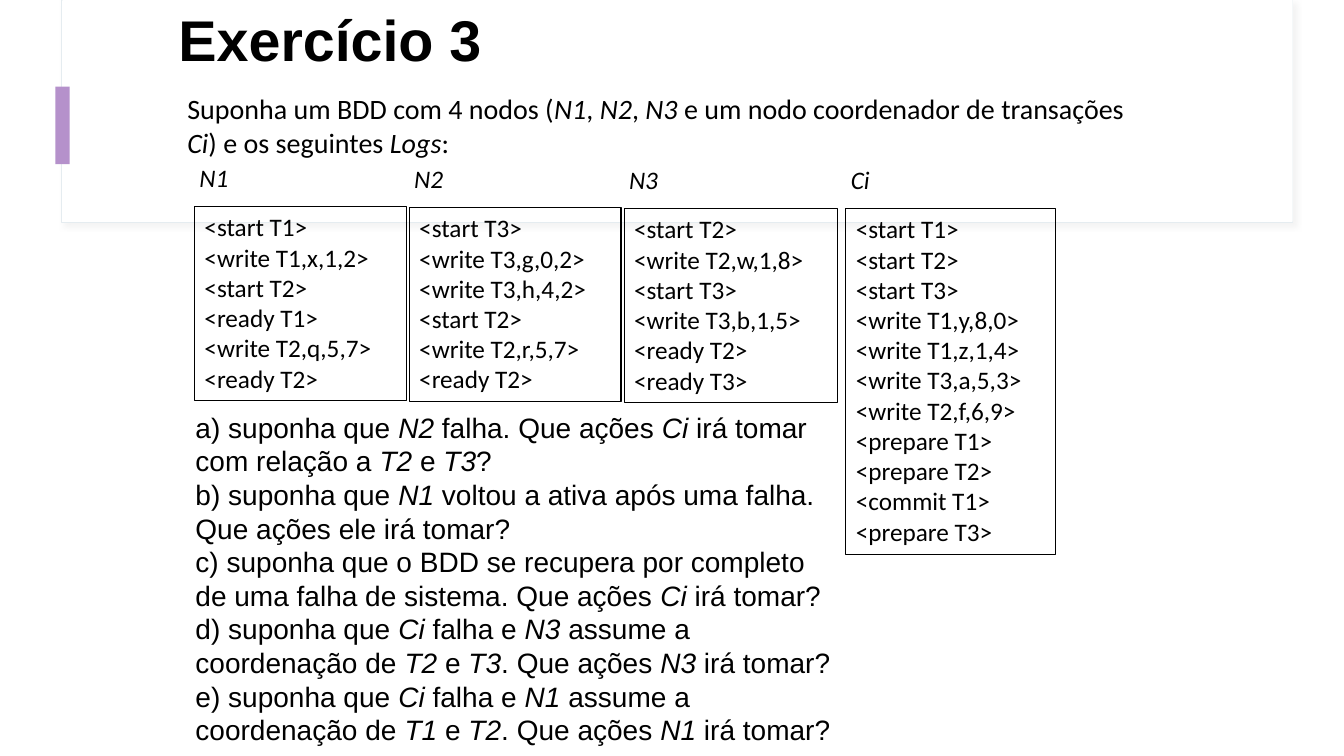
from lxml import etree
from pptx import Presentation
from pptx import util as u
from pptx.dml.color import RGBColor
from pptx.enum import shapes, text
from pptx.oxml.ns import qn

BLACK, WHITE = "000000", "FFFFFF"

INTRO = ["Suponha um BDD com 4 nodos (*N1*, *N2*, *N3* e um nodo coordenador "
         "de transações *Ci*) e os seguintes *Logs*:"]

# node name, box (left, top, width, height) and log entries
LOGS = [
    ("N1", (1.93, 2.05, 2.1, 1.92),
     ["start T1", "write T1,x,1,2", "start T2", "ready T1",
      "write T2,q,5,7", "ready T2"]),
    ("N2", (4.06, 2.06, 2.1, 1.92),
     ["start T3", "write T3,g,0,2", "write T3,h,4,2", "start T2",
      "write T2,r,5,7", "ready T2"]),
    ("N3", (6.19, 2.07, 2.12, 1.92),
     ["start T2", "write T2,w,1,8", "start T3", "write T3,b,1,5",
      "ready T2", "ready T3"]),
    ("Ci", (8.39, 2.07, 2.08, 3.43),
     ["start T1", "start T2", "start T3", "write T1,y,8,0",
      "write T1,z,1,4", "write T3,a,5,3", "write T2,f,6,9",
      "prepare T1", "prepare T2", "commit T1", "prepare T3"]),
]

QUESTIONS = [
    "a) suponha que *N2* falha. Que ações *Ci* irá tomar",
    "com relação a *T2* e *T3*?",
    "b) suponha que *N1* voltou a ativa após uma falha.",
    "Que ações ele irá tomar?",
    "c) suponha que o BDD se recupera por completo",
    "de uma falha de sistema. Que ações *Ci* irá tomar?",
    "d) suponha que *Ci* falha e *N3* assume a",
    "coordenação de *T2* e *T3*. Que ações *N3* irá tomar?",
    "e) suponha que *Ci* falha e *N1* assume a",
    "coordenação de *T1* e *T2*. Que ações *N1* irá tomar?",
]


def colour(value):
    return RGBColor.from_string(value)


def inches(box):
    return [u.Inches(length) for length in box]


def add_panel(page, box, fill):
    panel = page.shapes.add_shape(shapes.MSO_SHAPE.RECTANGLE, *inches(box))
    panel.shadow.inherit = False
    panel.fill.solid()
    panel.fill.fore_color.rgb = colour(fill)
    panel.line.fill.background()
    return panel


def add_soft_shadow(panel):
    effects = panel.element.spPr.find(qn("a:effectLst"))
    shadow = etree.SubElement(
        effects, qn("a:outerShdw"), blurRad=str(u.Pt(4)), dist=str(u.Pt(3)),
        dir=str(45 * 60000), algn="tl", rotWithShape="0")
    tint = etree.SubElement(shadow, qn("a:srgbClr"), val="D9D9D9")
    etree.SubElement(tint, qn("a:alpha"), val="30000")


def add_header(page, left, top, width, height):
    frame = add_panel(page, (left, top, width, height), WHITE)
    frame.line.color.rgb = colour("E5ECF0")
    frame.line.width = u.Pt(0.75)
    add_soft_shadow(frame)
    add_panel(page, (left + 0.01, top, width - 0.01, height - 0.01), WHITE)
    add_panel(page, (left - 0.06, top + 0.86, 0.14, 0.77), "B591CB")


def add_title(page, box, words):
    title = page.shapes.title
    title.left, title.top, title.width, title.height = inches(box)
    title.element.getparent().append(title.element)  # in front of the header
    frame = title.text_frame
    frame.text = words
    frame.vertical_anchor = text.MSO_ANCHOR.MIDDLE
    para = frame.paragraphs[0]
    para.alignment = text.PP_ALIGN.LEFT
    para.line_spacing = 0.9
    font = para.runs[0].font
    font.name, font.size, font.bold = "Arial", u.Pt(41), True
    font.color.rgb = colour(BLACK)


def add_text(page, box, lines, size, face, wrap=True, hanging=0):
    """Add one paragraph per line; words between asterisks are italic."""
    area = page.shapes.add_textbox(*inches(box))
    frame = area.text_frame
    frame.word_wrap = wrap
    for number, line in enumerate(lines):
        para = frame.add_paragraph() if number else frame.paragraphs[0]
        if hanging:
            properties = para._p.get_or_add_pPr()
            properties.set("marL", str(u.Inches(hanging)))
            properties.set("indent", str(-u.Inches(hanging)))
        for part, words in enumerate(line.split("*")):
            if words:
                span = para.add_run()
                span.text = words
                span.font.name, span.font.size = face, u.Pt(size)
                span.font.italic = part % 2 == 1
                span.font.color.rgb = colour(BLACK)
    return area


def add_log(page, node, box, entries):
    left, top = box[:2]
    add_text(page, (left - 0.05, top - 0.49, 0.52, 0.4), [f"*{node}*"],
             18, "Calibri", wrap=False)
    log = add_text(page, box, [f"<{entry}>" for entry in entries],
                   18, "Calibri")
    log.line.color.rgb = colour(BLACK)
    log.line.width = u.Pt(0.75)


def build_exercise(page):
    add_header(page, 0.61, 0, 12.21, 2.21)
    add_title(page, (1.67, 0.06, 10, 0.74), "Exercício 3")
    add_text(page, (1.76, 0.86, 9.51, 0.77), INTRO, 20, "Calibri")
    for node, box, entries in LOGS:
        add_log(page, node, box, entries)
    add_text(page, (1.84, 4.02, 6.55, 3.43), QUESTIONS, 20, "Arial",
             hanging=0.5)


def main():
    deck = Presentation()
    deck.slide_width, deck.slide_height = u.Inches(13.33), u.Inches(7.5)
    build_exercise(deck.slides.add_slide(deck.slide_layouts[5]))
    deck.save("out.pptx")


if __name__ == "__main__":
    main()
